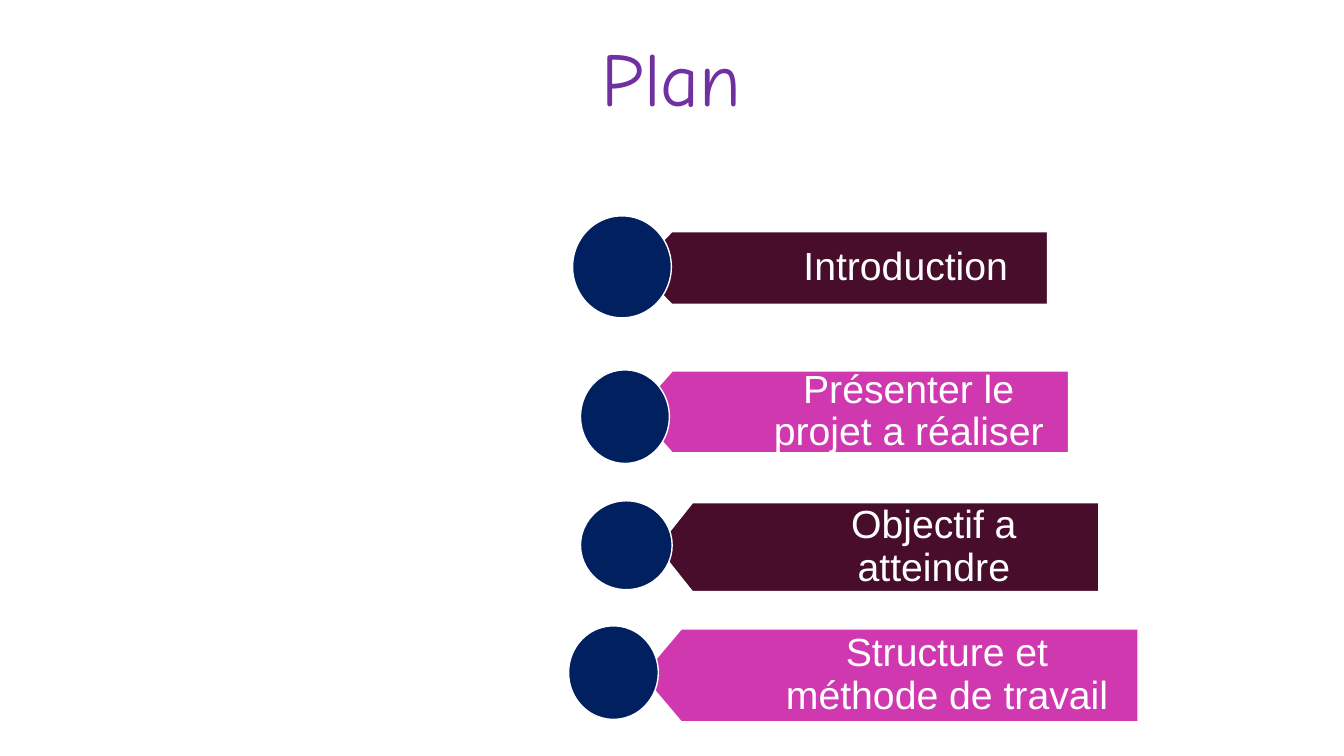
import pptx
import pptx.util
import pptx.dml.color
import pptx.enum.shapes
import pptx.enum.text
from pptx.util import Cm, Pt

COLORS = {
    "title": "7030A0",
    "dark": "470D2B",
    "pink": "D038AF",
    "navy": "002060",
    "white": "FFFFFF",
}

# text, colour, banner box, point depth, disc box, insets (left, right, vertical), space after
STEPS = [
    ("Introduction", "dark", (16.03, 5.84, 10.37, 1.83), 0.9,
     (14.43, 5.44, 2.49, 2.57), (3.78, 0.56, 0.3), 12),
    ("Présenter le projet a réaliser", "pink", (16.03, 9.35, 10.9, 2.06), 0.91,
     (14.63, 9.32, 2.24, 2.36), (3.2, 0.36, 0.2), 8),
    ("Objectif a atteindre", "dark", (16.56, 12.67, 11.13, 2.24), 0.89,
     (14.63, 12.62, 2.31, 2.24), (3.18, 0.36, 0.2), 8),
    ("Structure et méthode de travail", "pink", (16.18, 15.85, 12.5, 2.34), 0.99,
     (14.33, 15.77, 2.26, 2.36), (3.23, 0.36, 0.2), 8),
]


def rgb(name):
    return pptx.dml.color.RGBColor.from_string(COLORS[name])


def paint(sp, color):
    """Give a shape a plain fill and a thin white outline."""
    sp.shadow.inherit = False
    sp.fill.solid()
    sp.fill.fore_color.rgb = rgb(color)
    sp.line.color.rgb = rgb("white")
    sp.line.width = Pt(1)


def write(tf, text, font, size, color, anchor):
    """Put one centred, formatted paragraph in a text frame."""
    tf.text = text
    tf.word_wrap = True
    tf.auto_size = pptx.enum.text.MSO_AUTO_SIZE.NONE
    tf.vertical_anchor = anchor
    p = tf.paragraphs[0]
    p.alignment = pptx.enum.text.PP_ALIGN.CENTER
    p.line_spacing = 0.9
    p.space_before = Pt(0)
    r = p.runs[0]
    r.font.name = font
    r.font.size = Pt(size)
    r.font.color.rgb = rgb(color)
    return p


def add_title(s, text):
    sp = s.shapes.title
    sp.left, sp.top, sp.width, sp.height = Cm(12.42), Cm(0.79), Cm(9.02), Cm(2.44)
    write(sp.text_frame, text, "Comic Neue", 54, "title",
          pptx.enum.text.MSO_ANCHOR.BOTTOM)


def add_banner(s, text, color, box, point, insets, space_after):
    """Add a rectangle whose left side ends in a point."""
    left, top, width, height = box
    right, bottom = left + width, top + height
    outline = [(right, bottom), (left + point, bottom), (left, top + height / 2),
               (left + point, top), (right, top)]
    corners = [(Cm(x), Cm(y)) for x, y in outline]
    builder = s.shapes.build_freeform(*corners[0])
    builder.add_line_segments(corners[1:], close=True)
    sp = builder.convert_to_shape()
    paint(sp, color)
    tf = sp.text_frame
    tf.margin_left, tf.margin_right = Cm(insets[0]), Cm(insets[1])
    tf.margin_top = tf.margin_bottom = Cm(insets[2])
    p = write(tf, text, "Arial", 28, "white", pptx.enum.text.MSO_ANCHOR.MIDDLE)
    p.space_after = Pt(space_after)


def add_disc(s, box):
    sp = s.shapes.add_shape(pptx.enum.shapes.MSO_SHAPE.OVAL, *map(Cm, box))
    paint(sp, "navy")


def main():
    prs = pptx.Presentation()
    prs.slide_width, prs.slide_height = Cm(33.87), Cm(19.05)
    s = prs.slides.add_slide(prs.slide_layouts.get_by_name("Title Only"))
    add_title(s, "Plan")
    for text, color, banner, point, disc, insets, space_after in STEPS:
        add_banner(s, text, color, banner, point, insets, space_after)
        add_disc(s, disc)
    prs.save("out.pptx")


if __name__ == "__main__":
    main()
